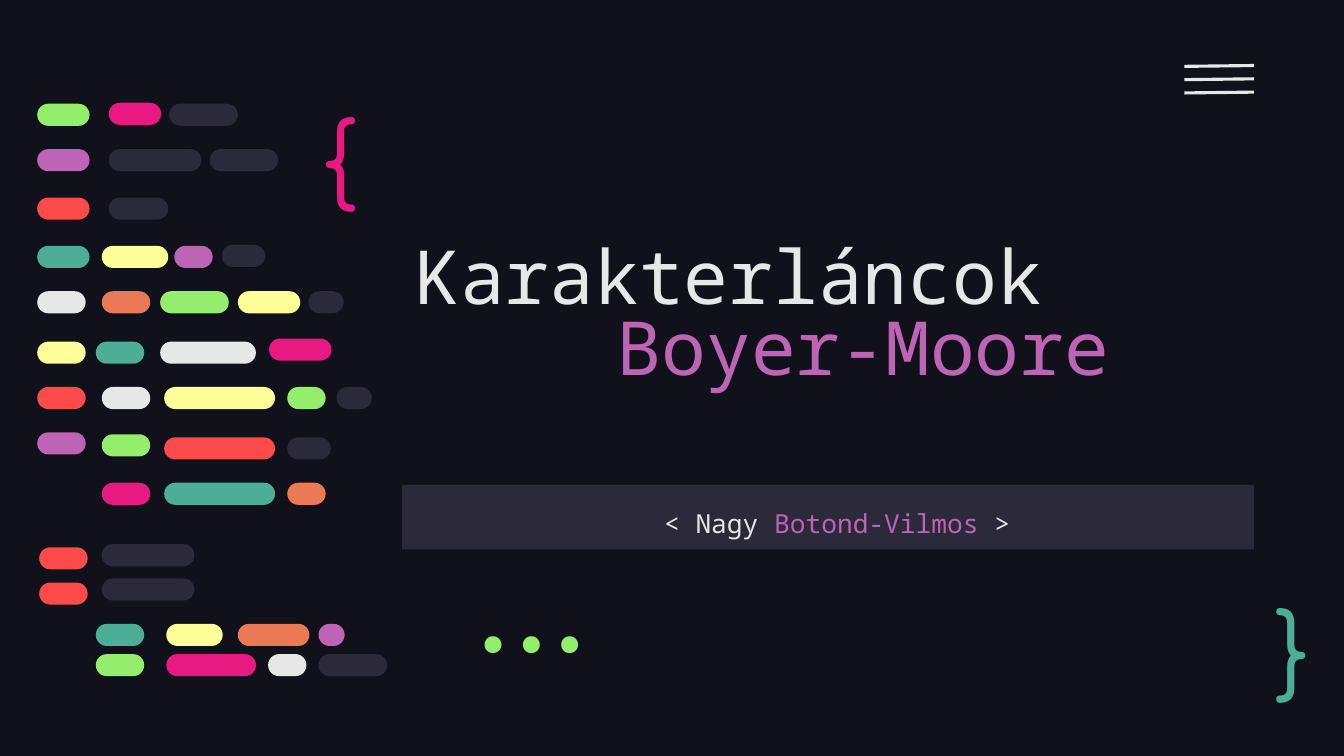
from pptx import Presentation
from pptx.dml.color import RGBColor as RGB
from pptx.enum.shapes import MSO_CONNECTOR as LINE, MSO_SHAPE as SHAPE
from pptx.enum.text import MSO_ANCHOR as ANCHOR, PP_ALIGN as ALIGN
from pptx.oxml.ns import qn
from pptx.util import Pt
from lxml import etree

NIGHT = RGB(0x10, 0x11, 0x1A)
SLATE = RGB(0x2C, 0x29, 0x3A)
WHITE = RGB(0xE7, 0xE7, 0xE7)
PLUM = RGB(0xBD, 0x64, 0xB5)
PINK = RGB(0xE8, 0x1A, 0x81)
TEAL = RGB(0x4C, 0xAE, 0x97)
LIME = RGB(0x94, 0xEE, 0x6B)
RED = RGB(0xFD, 0x4A, 0x4A)
LEMON = RGB(0xFF, 0xFF, 0x99)
CORAL = RGB(0xEC, 0x79, 0x55)
MONO = "Noto Sans Mono"
PILL = 15.8  # height of a code pill

# Rows of code: top, then pills as (left, width, colour[, shift down])
CODE = [
    (0.7, [(0, 37.4, LIME), (51.1, 37.4, PINK, -0.7), (94.3, 49, SLATE)]),
    (33.1, [(0, 37.4, PLUM), (51.1, 66.2, SLATE), (123.1, 49, SLATE)]),
    (67.7, [(0, 37.4, RED), (51.1, 42.5, SLATE)]),
    (102.2, [(0, 37.4, TEAL), (46.1, 47.5, LEMON), (97.9, 27.4, PLUM),
             (131.8, 31, SLATE, -0.7)]),
    (134.6, [(0, 34.6, WHITE), (46.1, 34.6, CORAL), (87.8, 49, LIME),
             (143.3, 44.6, LEMON), (193.7, 25.2, SLATE)]),
    (170.6, [(0, 34.6, LEMON), (41.8, 34.6, TEAL), (87.8, 68.4, WHITE),
             (165.6, 44.6, PINK, -2.2)]),
    (203, [(0, 34.6, RED), (46.1, 34.6, WHITE), (90.7, 79.2, LEMON),
           (178.6, 27.4, LIME), (213.8, 25.2, SLATE)]),
    (239, [(0, 34.6, PLUM, -3.6), (46.1, 34.6, LIME, -2.2),
           (90.7, 79.2, RED), (178.6, 31, SLATE)]),
    (271.4, [(46.1, 34.6, PINK), (90.7, 79.2, TEAL), (178.6, 27.4, CORAL)]),
    (317.5, [(1.4, 34.6, RED), (46.1, 66.2, SLATE, -2.2)]),
    (342.7, [(1.4, 34.6, RED), (46.1, 66.2, SLATE, -2.9)]),
    (372.2, [(41.8, 34.6, TEAL), (92.2, 40.3, LEMON), (143.3, 51.1, CORAL),
             (200.9, 18.7, PLUM)]),
    (393.8, [(41.8, 34.6, LIME), (92.2, 64.1, PINK), (164.9, 27.4, WHITE),
             (200.9, 49, SLATE)]),
]


def block(slide, kind, x, y, w, h, color):
    """Filled shape without outline or shadow."""
    shape = slide.shapes.add_shape(kind, Pt(x), Pt(y), Pt(w), Pt(h))
    shape.shadow.inherit = False
    shape.fill.solid()
    shape.fill.fore_color.rgb = color
    shape.line.fill.background()
    return shape


def label(slide, box, lines, size, font=MONO, align=ALIGN.LEFT,
          anchor=ANCHOR.TOP, space=1.0, pads=(9.4, 9.4, 9.4, 9.4), dents=()):
    """Text box; each line is a list of (text, colour) runs."""
    frame = slide.shapes.add_textbox(*[Pt(v) for v in box]).text_frame
    frame.word_wrap = True
    frame.vertical_anchor = anchor
    (frame.margin_left, frame.margin_top,
     frame.margin_right, frame.margin_bottom) = [Pt(v) for v in pads]
    for i, runs in enumerate(lines):
        para = frame.paragraphs[0] if i == 0 else frame.add_paragraph()
        if i < len(dents) and dents[i]:
            para._p.get_or_add_pPr().set("marL", str(Pt(dents[i])))
        para.alignment = align
        para.line_spacing = space
        for text, color in runs:
            run = para.add_run()
            run.text = text
            run.font.name = font
            run.font.size = Pt(size)
            run.font.color.rgb = color


def title(slide, x, y, w, h):
    label(slide, (x, y, w, h),
          [[("Karakterláncok", WHITE)], [("Boyer-Moore", PLUM)]], 53.3,
          anchor=ANCHOR.BOTTOM, space=0.8, pads=(9.4, 9.4, 9.4, 67.6),
          dents=(0, 144))


def author(slide, x, y, w, h):
    block(slide, SHAPE.RECTANGLE, x, y, w, h, SLATE)
    label(slide, (x, y, w, h),
          [[("< Nagy ", WHITE), ("Botond-Vilmos", PLUM), (" >", WHITE)]],
          18.7, align=ALIGN.CENTER, space=1.15, pads=(22.2, 12.7, 9.4, 9.4))


def menu(slide, x, y, w, gap):
    for i in range(3):
        top = y + i * gap
        bar = slide.shapes.add_connector(
            LINE.STRAIGHT, Pt(x), Pt(top + 0.6), Pt(x + w), Pt(top))
        bar.line.color.rgb = WHITE
        bar.line.width = Pt(2.25)
        etree.SubElement(bar._element.spPr, qn("a:effectLst"))


def code(slide, x, y):
    for top, pills in CODE:
        for left, width, color, *shift in pills:
            pill = block(slide, SHAPE.ROUNDED_RECTANGLE, x + left,
                         y + top + sum(shift), width, PILL, color)
            pill.adjustments[0] = 0.5


def main():
    deck = Presentation()
    deck.slide_width, deck.slide_height = Pt(960), Pt(540)
    slide = deck.slides.add_slide(deck.slide_layouts[6])
    slide.background.fill.solid()
    slide.background.fill.fore_color.rgb = NIGHT

    title(slide, 287.3, 132.5, 608.4, 213.8)
    author(slide, 287.3, 346.3, 608.4, 46.1)
    # Braces and dots
    label(slide, (220.3, 59.8, 74.2, 91.4), [[("{", PINK)]], 66.7,
          font="Comfortaa")
    label(slide, (901.4, 420.5, 54.7, 79.9), [[("}", TEAL)]], 66.7,
          font="Comfortaa", anchor=ANCHOR.MIDDLE)
    label(slide, (298.8, 431.3, 151.9, 57.6), [[("...", LIME)]], 66.7,
          font="Fira Code", align=ALIGN.RIGHT, anchor=ANCHOR.BOTTOM)
    menu(slide, 846, 46.8, 49.7, 9.5)
    code(slide, 26.6, 73.4)
    deck.save("out.pptx")


if __name__ == "__main__":
    main()
